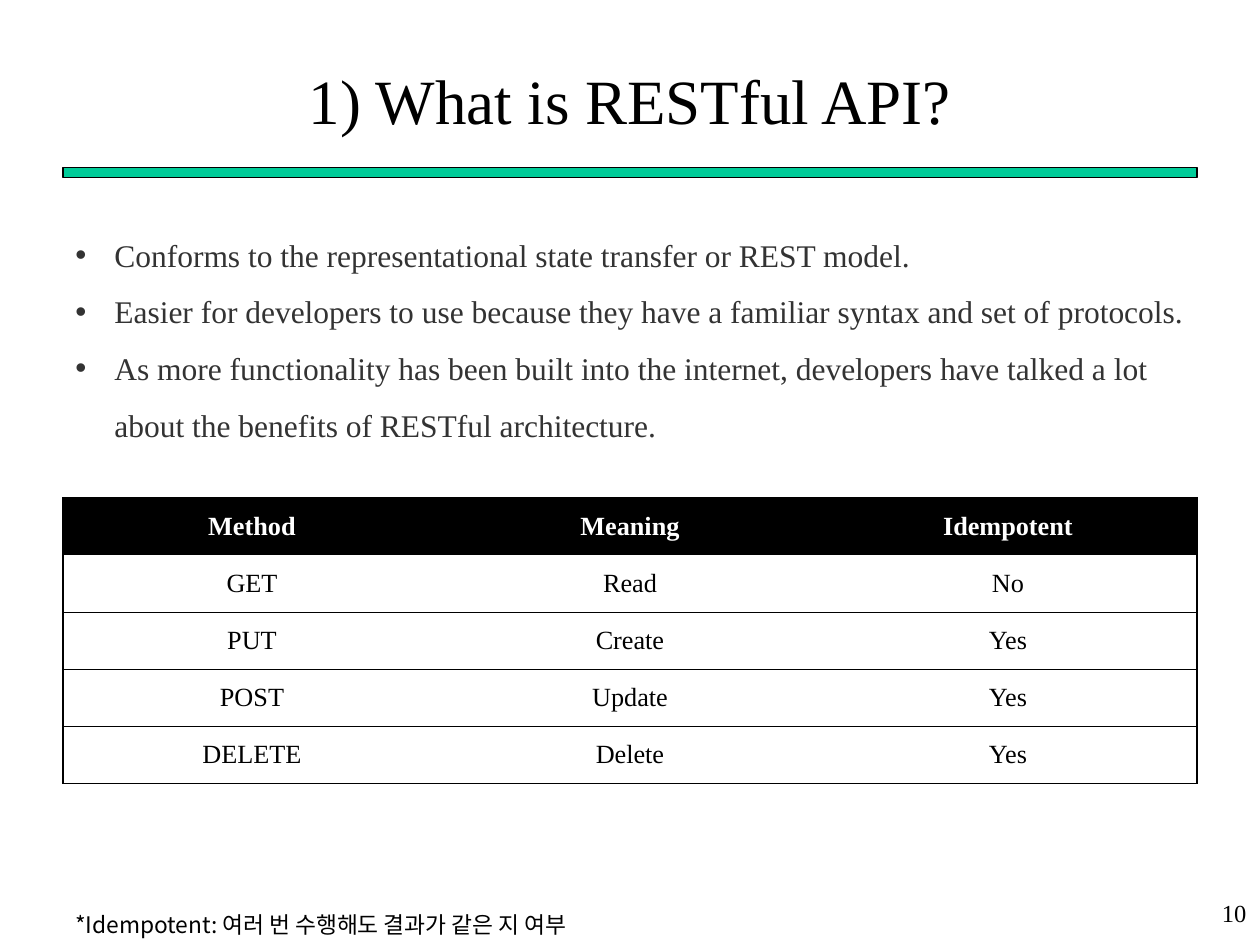
from lxml.etree import SubElement
from pptx import Presentation
from pptx.dml.color import RGBColor
from pptx.enum.shapes import MSO_SHAPE
from pptx.enum.text import MSO_ANCHOR, PP_ALIGN
from pptx.oxml import parse_xml
from pptx.oxml.ns import nsdecls, qn
from pptx.util import Inches, Pt

COLORS = {"black": "000000", "white": "FFFFFF", "accent": "00CC99", "body": "333333"}
SERIF = "Times New Roman"
KOREAN = "Noto Sans CJK KR"
BULLETS = [
    "Conforms to the representational state transfer or REST model.",
    "Easier for developers to use because they have a familiar syntax and set of protocols.",
    "As more functionality has been built into the internet, developers have talked a lot "
    "about the benefits of RESTful architecture.",
]
METHODS = [
    ["Method", "Meaning", "Idempotent"],
    ["GET", "Read", "No"],
    ["PUT", "Create", "Yes"],
    ["POST", "Update", "Yes"],
    ["DELETE", "Delete", "Yes"],
]


def color(name):
    """Return the named colour."""
    return RGBColor.from_string(COLORS[name])


def format_runs(text_frame, size, color_name="black", font=SERIF, bold=False, align=None):
    """Format every paragraph and run of a text frame."""
    for paragraph in text_frame.paragraphs:
        paragraph.alignment = align
        for run in paragraph.runs:
            run.font.size = Pt(size)
            run.font.name = font
            run.font.bold = bold
            run.font.color.rgb = color(color_name)
            SubElement(run.font._element, qn("a:ea"), typeface=font)


def add_text(slide, box, lines, wrap=True):
    """Add a text box with one paragraph per line and return its frame."""
    text_frame = slide.shapes.add_textbox(*map(Inches, box)).text_frame
    text_frame.word_wrap = wrap
    text_frame.text = "\n".join(lines)
    return text_frame


def add_heading(slide, box, text):
    """Place the title with the accent bar below it."""
    left, top, width, height = box
    title = slide.shapes.title
    title.left, title.top, title.width, title.height = map(Inches, box)
    title.text_frame.text = text
    title.text_frame.vertical_anchor = MSO_ANCHOR.MIDDLE
    format_runs(title.text_frame, 36, align=PP_ALIGN.CENTER)
    bar = slide.shapes.add_shape(
        MSO_SHAPE.RECTANGLE, Inches(left), Inches(top + height + 0.08), Inches(width), Inches(0.08))
    bar.shadow.inherit = False
    bar.fill.solid()
    bar.fill.fore_color.rgb = color("accent")
    bar.line.color.rgb = color("black")
    bar.line.width = Pt(0.75)


def add_bullets(slide, box, lines):
    """Place the bulleted list."""
    text_frame = add_text(slide, box, lines)
    for paragraph in text_frame.paragraphs:
        properties = paragraph._p.get_or_add_pPr()
        properties.set("marL", str(Inches(0.31)))
        properties.set("indent", str(Inches(-0.31)))
        SubElement(properties, qn("a:buFont"), typeface="Arial")
        SubElement(properties, qn("a:buChar"), char="•")
        paragraph.line_spacing = 1.5
    format_runs(text_frame, 18, "body")


def set_borders(cell, visible_sides):
    """Draw black lines on the visible sides of a cell and none on the others."""
    properties = cell._tc.get_or_add_tcPr()
    for index, side in enumerate("LRTB"):
        fill = "<a:noFill/>"
        if side in visible_sides:
            fill = f'<a:solidFill><a:srgbClr val="{COLORS["black"]}"/></a:solidFill>'
        line = parse_xml(f'<a:ln{side} {nsdecls("a")} w="{Pt(0.75)}">{fill}</a:ln{side}>')
        properties.insert(index, line)


def add_method_table(slide, box, rows):
    """Place the table of methods with a dark header row."""
    last_column = len(rows[0]) - 1
    table = slide.shapes.add_table(len(rows), len(rows[0]), *map(Inches, box)).table
    for row_index, row in enumerate(rows):
        is_header = row_index == 0
        for column_index, text in enumerate(row):
            cell = table.cell(row_index, column_index)
            cell.text_frame.text = text
            cell.vertical_anchor = MSO_ANCHOR.MIDDLE
            cell.fill.solid()
            cell.fill.fore_color.rgb = color("black" if is_header else "white")
            format_runs(cell.text_frame, 15, "white" if is_header else "black",
                        bold=is_header, align=PP_ALIGN.CENTER)
            left = "L" if column_index == 0 else ""
            right = "R" if column_index == last_column else ""
            set_borders(cell, "TB" + left + right)


def add_footer(slide, note_box, note, number_box, number):
    """Place the footnote and the page number."""
    format_runs(add_text(slide, note_box, [note], wrap=False), 13, font=KOREAN)
    format_runs(add_text(slide, number_box, [number]), 14, align=PP_ALIGN.RIGHT)


def main():
    """Build and save the presentation."""
    presentation = Presentation()
    presentation.slide_width, presentation.slide_height = Inches(10), Inches(7.5)
    slide = presentation.slides.add_slide(presentation.slide_layouts[5])
    add_heading(slide, (0.5, 0.33, 9, 0.92), "1) What is RESTful API?")
    add_bullets(slide, (0.5, 1.67, 9, 1.92), BULLETS)
    add_method_table(slide, (0.5, 3.95, 9, 2.27), METHODS)
    add_footer(slide, (0.5, 7.18, 4.48, 0.32), "*Idempotent: 여러 번 수행해도 결과가 같은 지 여부",
               (7.91, 7.08, 2.08, 0.42), "10")
    presentation.save("out.pptx")


if __name__ == "__main__":
    main()
